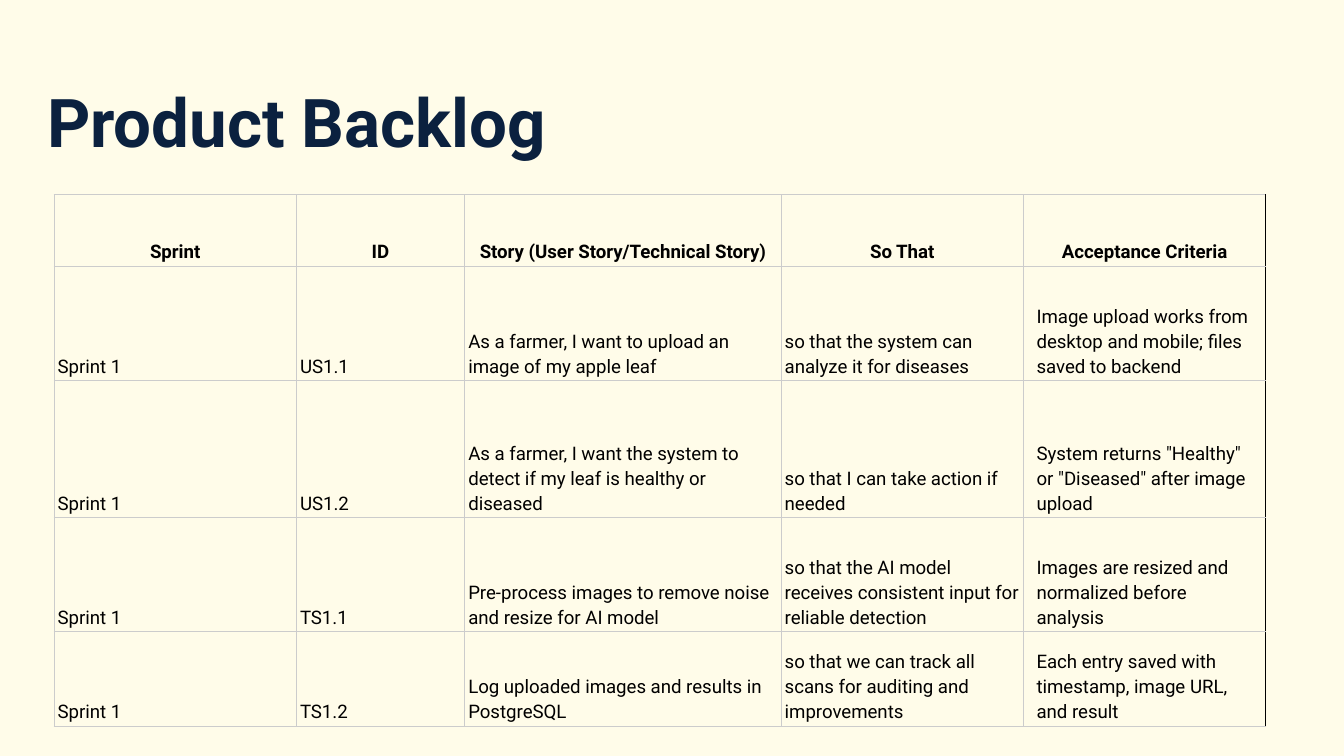
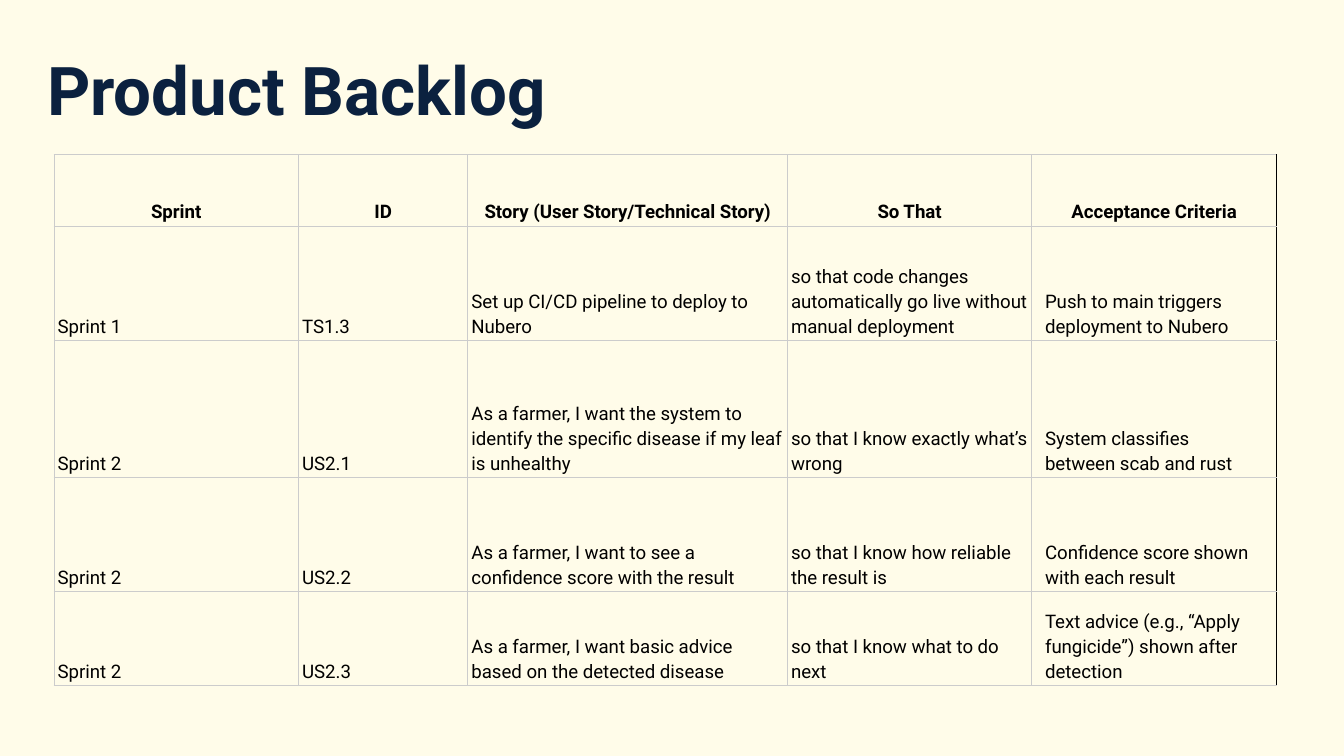
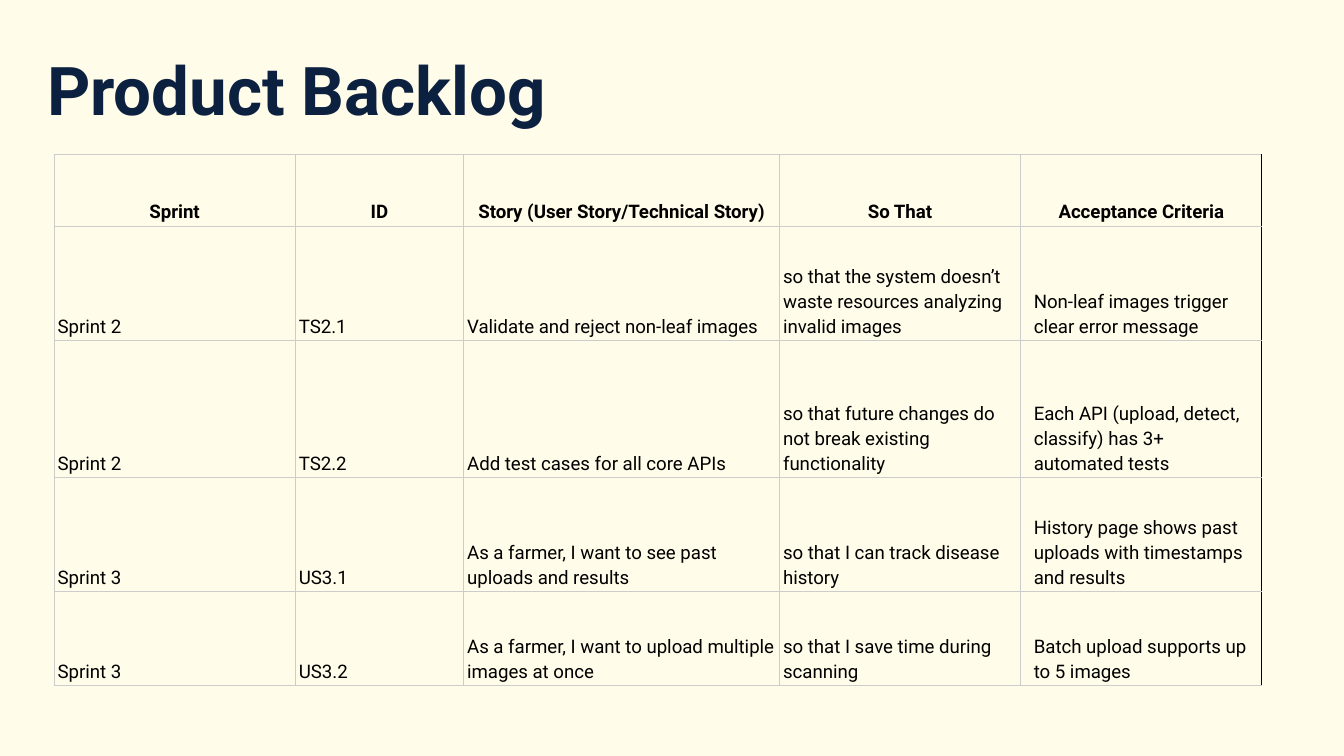
import dataclasses

import lxml.etree
import pptx
import pptx.dml.color
import pptx.enum.text
import pptx.oxml.ns
import pptx.util

Cm = pptx.util.Cm
Pt = pptx.util.Pt
qn = pptx.oxml.ns.qn


@dataclasses.dataclass(frozen=True)
class Theme:
    font: str = "Roboto"
    background: str = "FFFCE9"
    title: str = "0B213F"
    text: str = "000000"
    grid: str = "CCCCCC"
    edge: str = "000000"
    title_size: float = 36
    table_size: float = 10
    grid_width: float = 0.42
    line_spacing: float = 1.15


theme = Theme()


def set_font(font, size, color, bold):
    font_format = {"name": theme.font, "size": Pt(size), "bold": bold}
    for attribute, value in font_format.items():
        setattr(font, attribute, value)
    font.color.rgb = pptx.dml.color.RGBColor.from_string(color)


def set_borders(cell, colors):
    """Draw the cell's borders; colors maps L, R, T and B, in that order."""
    properties = cell._tc.get_or_add_tcPr()
    for side, color in colors.items():
        line = lxml.etree.SubElement(
            properties, qn(f"a:ln{side}"), w=str(Pt(theme.grid_width))
        )
        fill = lxml.etree.SubElement(line, qn("a:solidFill"))
        lxml.etree.SubElement(fill, qn("a:srgbClr"), val=color)


headings = (
    "Sprint",
    "ID",
    "Story (User Story/Technical Story)",
    "So That",
    "Acceptance Criteria",
)
row_heights = (1.35, 2.16, 2.59, 2.16, 1.78)

backlog_pages = [
    {
        "title_top": 1.27,
        "table_top": 3.68,
        "column_widths": (4.58, 3.18, 5.98, 4.58, 4.58),
        "stories": [
            ("Sprint 1", "US1.1",
             "As a farmer, I want to upload an image of my apple leaf",
             "so that the system can analyze it for diseases",
             "Image upload works from desktop and mobile; files saved to backend"),
            ("Sprint 1", "US1.2",
             "As a farmer, I want the system to detect if my leaf is healthy or diseased",
             "so that I can take action if needed",
             'System returns "Healthy" or "Diseased" after image upload'),
            ("Sprint 1", "TS1.1",
             "Pre-process images to remove noise and resize for AI model",
             "so that the AI model receives consistent input for reliable detection",
             "Images are resized and normalized before analysis"),
            ("Sprint 1", "TS1.2",
             "Log uploaded images and results in PostgreSQL",
             "so that we can track all scans for auditing and improvements",
             "Each entry saved with timestamp, image URL, and result"),
        ],
    },
    {
        "title_top": 0.66,
        "table_top": 2.92,
        "column_widths": (4.62, 3.2, 6.04, 4.62, 4.62),
        "stories": [
            ("Sprint 1", "TS1.3",
             "Set up CI/CD pipeline to deploy to Nubero",
             "so that code changes automatically go live without manual deployment",
             "Push to main triggers deployment to Nubero"),
            ("Sprint 2", "US2.1",
             "As a farmer, I want the system to identify the specific disease if my leaf is unhealthy",
             "so that I know exactly what’s wrong",
             "System classifies between scab and rust"),
            ("Sprint 2", "US2.2",
             "As a farmer, I want to see a confidence score with the result",
             "so that I know how reliable the result is",
             "Confidence score shown with each result"),
            ("Sprint 2", "US2.3",
             "As a farmer, I want basic advice based on the detected disease",
             "so that I know what to do next",
             "Text advice (e.g., “Apply fungicide”) shown after detection"),
        ],
    },
    {
        "title_top": 0.66,
        "table_top": 2.92,
        "column_widths": (4.56, 3.18, 5.97, 4.56, 4.56),
        "stories": [
            ("Sprint 2", "TS2.1",
             "Validate and reject non-leaf images",
             "so that the system doesn’t waste resources analyzing invalid images",
             "Non-leaf images trigger clear error message"),
            ("Sprint 2", "TS2.2",
             "Add test cases for all core APIs",
             "so that future changes do not break existing functionality",
             "Each API (upload, detect, classify) has 3+ automated tests"),
            ("Sprint 3", "US3.1",
             "As a farmer, I want to see past uploads and results",
             "so that I can track disease history",
             "History page shows past uploads with timestamps and results"),
            ("Sprint 3", "US3.2",
             "As a farmer, I want to upload multiple images at once",
             "so that I save time during scanning",
             "Batch upload supports up to 5 images"),
        ],
    },
]

presentation = pptx.Presentation()
presentation.slide_width = Cm(25.4)
presentation.slide_height = Cm(14.29)
blank_layout = presentation.slide_layouts[6]

for page in backlog_pages:
    slide = presentation.slides.add_slide(blank_layout)
    slide.background.fill.solid()
    slide.background.fill.fore_color.rgb = pptx.dml.color.RGBColor.from_string(
        theme.background
    )

    title = slide.shapes.add_textbox(
        Cm(0.64), Cm(page["title_top"]), Cm(12.24), Cm(1.22)
    ).text_frame
    title_format = {
        "word_wrap": True,
        "margin_left": Cm(0.25),
        "margin_top": Cm(0.25),
        "margin_right": Cm(0.25),
        "margin_bottom": Cm(0.25),
        "text": "Product Backlog",
    }
    for attribute, value in title_format.items():
        setattr(title, attribute, value)
    set_font(title.paragraphs[0].runs[0].font, theme.title_size, theme.title, True)

    widths = page["column_widths"]
    backlog = slide.shapes.add_table(
        len(row_heights), len(widths),
        Cm(1.02), Cm(page["table_top"]), Cm(sum(widths)), Cm(sum(row_heights)),
    ).table
    backlog.first_row = False
    backlog.horz_banding = False
    for column, width in zip(backlog.columns, widths):
        column.width = Cm(width)
    for row, height in zip(backlog.rows, row_heights):
        row.height = Cm(height)

    for row_number, entries in enumerate([headings, *page["stories"]]):
        is_heading = row_number == 0
        for column_number, entry in enumerate(entries):
            is_last = column_number == len(headings) - 1
            cell = backlog.cell(row_number, column_number)
            side_margin = Cm(0.25 if is_last else 0.07)
            cell_format = {
                "text": entry,
                "vertical_anchor": pptx.enum.text.MSO_ANCHOR.BOTTOM,
                "margin_left": side_margin,
                "margin_right": side_margin,
                "margin_top": Cm(0.05),
                "margin_bottom": Cm(0.05),
            }
            for attribute, value in cell_format.items():
                setattr(cell, attribute, value)
            set_borders(cell, {
                "L": theme.grid,
                "R": theme.edge if is_last else theme.grid,
                "T": theme.grid,
                "B": theme.grid,
            })
            cell.fill.background()

            paragraph = cell.text_frame.paragraphs[0]
            paragraph.line_spacing = theme.line_spacing
            if is_heading:
                paragraph.alignment = pptx.enum.text.PP_ALIGN.CENTER
            set_font(paragraph.runs[0].font, theme.table_size, theme.text, is_heading)

presentation.save("out.pptx")
